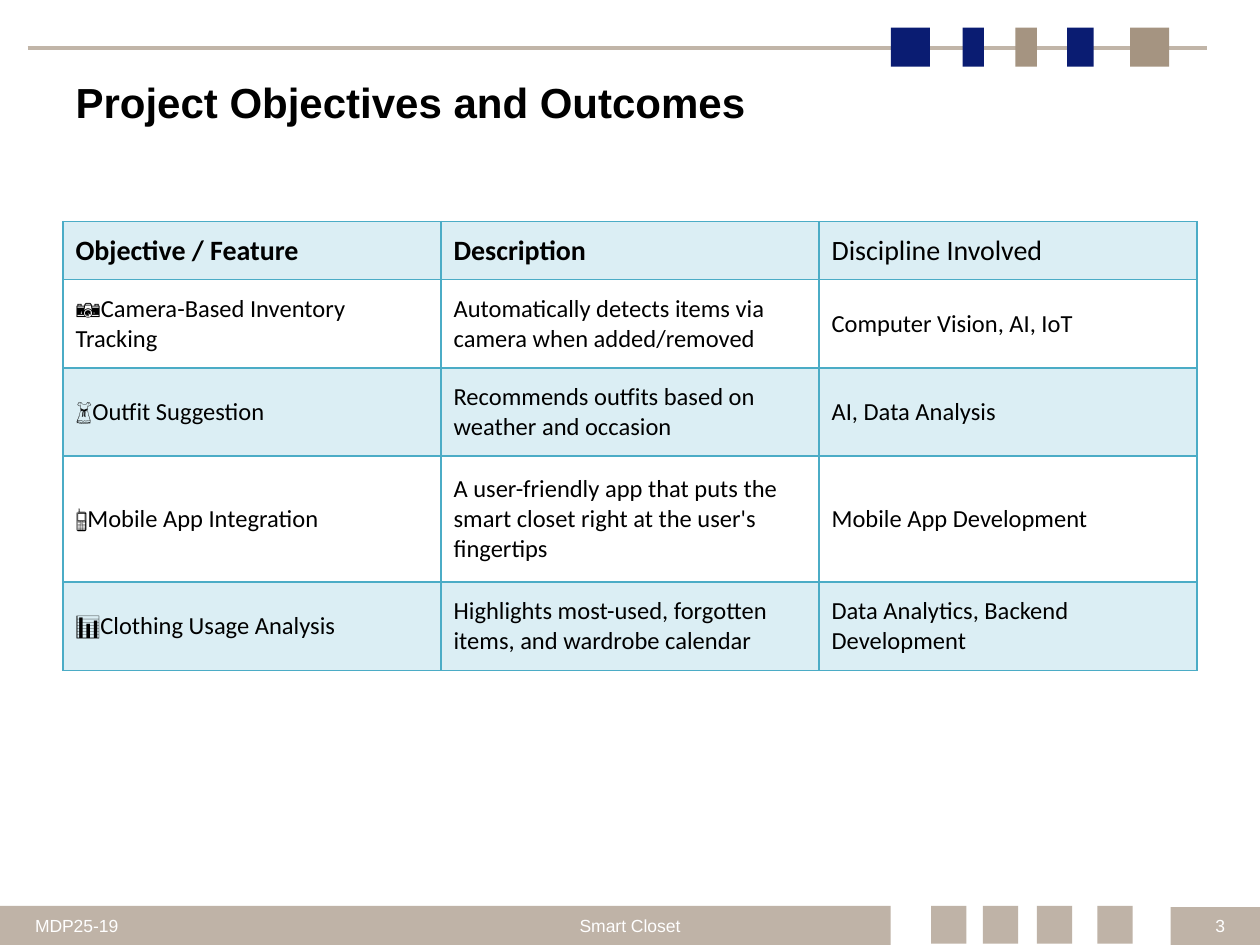
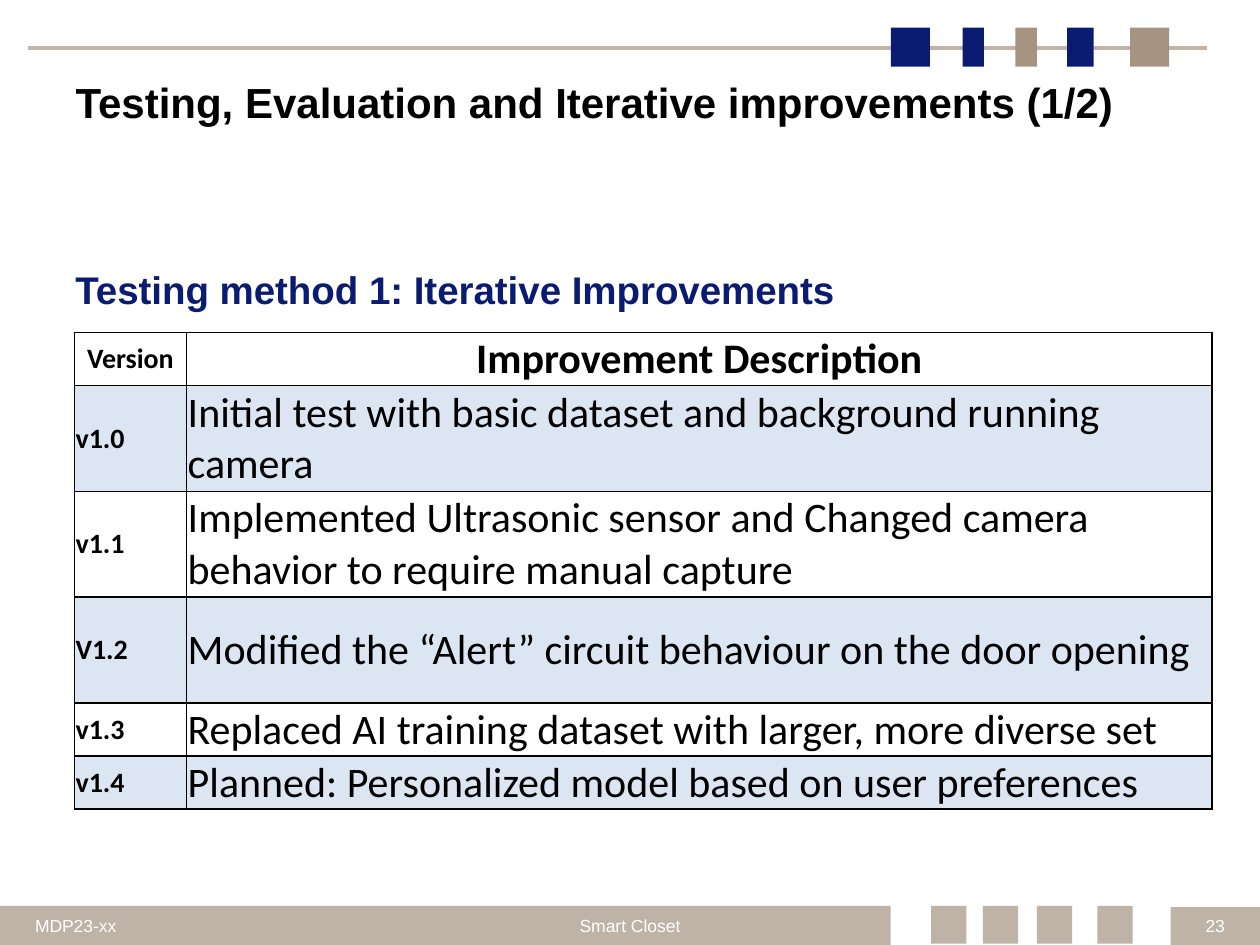
from lxml.etree import SubElement
from pptx import Presentation
from pptx.dml.color import RGBColor
from pptx.enum.shapes import MSO_CONNECTOR, MSO_SHAPE
from pptx.enum.text import MSO_ANCHOR, MSO_AUTO_SIZE, PP_ALIGN
from pptx.oxml.ns import qn
from pptx.util import Inches, Pt

BLACK = RGBColor(0x00, 0x00, 0x00)
WHITE = RGBColor(0xFF, 0xFF, 0xFF)
NAVY = RGBColor(0x0A, 0x1C, 0x72)
TAN = RGBColor(0xA5, 0x94, 0x81)
SAND = RGBColor(0xBF, 0xB3, 0xA7)
RULE = RGBColor(0xC1, 0xB5, 0xA8)
TEAL = RGBColor(0x4B, 0xAC, 0xC6)
PALE_TEAL = RGBColor(0xDB, 0xEE, 0xF4)
PALE_BLUE = RGBColor(0xDC, 0xE6, 0xF2)

# Left, top, width, height, colour of the blocks on every slide
BLOCKS = [
    (7.07, 0.22, 0.31, 0.31, NAVY),
    (7.64, 0.22, 0.17, 0.31, NAVY),
    (8.06, 0.22, 0.17, 0.31, TAN),
    (8.47, 0.22, 0.21, 0.31, NAVY),
    (8.97, 0.22, 0.31, 0.31, TAN),
    (0, 7.19, 7.07, 0.31, SAND),
    *[(left, 7.19, 0.28, 0.3, SAND) for left in (7.39, 7.8, 8.23, 8.71)],
    (9.29, 7.2, 0.71, 0.3, SAND),
]

OBJECTIVES = [
    ("Objective / Feature", "Description", "Discipline Involved"),
    ("📷Camera-Based Inventory Tracking",
     "Automatically detects items via camera when added/removed",
     "Computer Vision, AI, IoT"),
    ("👗Outfit Suggestion",
     "Recommends outfits based on weather and occasion",
     "AI, Data Analysis"),
    ("📱Mobile App Integration",
     "A user-friendly app that puts the smart closet right at the user's fingertips",
     "Mobile App Development"),
    ("📊Clothing Usage Analysis",
     "Highlights most-used, forgotten items, and wardrobe calendar",
     "Data Analytics, Backend Development"),
]

VERSIONS = [
    ("Version", "Improvement Description"),
    ("v1.0", "Initial test with basic dataset and background running camera"),
    ("v1.1", "Implemented Ultrasonic sensor and Changed camera behavior "
             "to require manual capture"),
    ("V1.2", "Modified the “Alert” circuit behaviour on the door opening"),
    ("v1.3", "Replaced AI training dataset with larger, more diverse set"),
    ("v1.4", "Planned: Personalized model based on user preferences"),
]


def add_text(slide, text, left, top, width, height, size, color, align, bold=False):
    frame = slide.shapes.add_textbox(
        Inches(left), Inches(top), Inches(width), Inches(height)).text_frame
    frame.word_wrap = True
    line = frame.paragraphs[0]
    line.text = text
    line.alignment = align
    line.font.name, line.font.size, line.font.bold = "Arial", Pt(size), bold
    line.font.color.rgb = color


def add_grid(slide, rows, left, top, widths, heights, border, tint, tinted_row):
    """Add a bordered table, tinting every second row from tinted_row."""
    grid = slide.shapes.add_table(
        len(rows), len(widths), Inches(left), Inches(top),
        Inches(sum(widths)), Inches(sum(heights))).table
    grid.first_row = grid.horz_banding = False
    for column, width in zip(grid.columns, widths):
        column.width = Inches(width)
    for r, (row, height) in enumerate(zip(rows, heights)):
        grid.rows[r].height = Inches(height)
        for c, text in enumerate(row):
            cell = grid.cell(r, c)
            cell.text = text
            cell.vertical_anchor = MSO_ANCHOR.MIDDLE
            font = cell.text_frame.paragraphs[0].font
            font.name, font.color.rgb = "Calibri", BLACK
            for side in ("a:lnL", "a:lnR", "a:lnT", "a:lnB"):
                edge = SubElement(cell._tc.get_or_add_tcPr(), qn(side), w=str(Pt(1)))
                SubElement(SubElement(edge, qn("a:solidFill")),
                           qn("a:srgbClr"), val=str(border))
            if r % 2 == tinted_row:
                cell.fill.solid()
                cell.fill.fore_color.rgb = tint
            else:
                cell.fill.background()
    return grid


deck = Presentation()
deck.slide_width, deck.slide_height = Inches(10), Inches(7.5)

# Title, header rule, blocks and footer of both slides
slides = []
for heading, project_code, number in [
    ("Project Objectives and Outcomes", "MDP25-19", "3"),
    ("Testing, Evaluation and Iterative improvements (1/2)", "MDP23-xx", "23"),
]:
    slide = deck.slides.add_slide(deck.slide_layouts[5])
    slides.append(slide)

    rule = slide.shapes.add_connector(
        MSO_CONNECTOR.STRAIGHT, Inches(0.22), Inches(0.38), Inches(9.58), Inches(0.38))
    rule.line.color.rgb = RULE
    rule.line.width = Pt(2.25)
    SubElement(rule._element.spPr, qn("a:effectLst"))

    for left, top, width, height, color in BLOCKS:
        block = slide.shapes.add_shape(
            MSO_SHAPE.RECTANGLE, Inches(left), Inches(top), Inches(width), Inches(height))
        block.shadow.inherit = False
        block.fill.solid()
        block.fill.fore_color.rgb = color
        block.line.fill.background()

    title = slide.shapes.title
    title.left, title.top = Inches(0.5), Inches(0.56)
    title.width, title.height = Inches(9), Inches(0.82)
    title.text_frame.text = heading
    title.text_frame.auto_size = MSO_AUTO_SIZE.NONE
    title.text_frame.vertical_anchor = MSO_ANCHOR.TOP
    line = title.text_frame.paragraphs[0]
    line.alignment = PP_ALIGN.LEFT
    line.font.name, line.font.size, line.font.bold = "Arial", Pt(24), True
    line.font.color.rgb = BLACK

    for text, left, width, align in [
        (project_code, 0.18, 1.17, PP_ALIGN.LEFT),
        ("Smart Closet", 1.87, 6.26, PP_ALIGN.CENTER),
        (number, 8.65, 1.17, PP_ALIGN.RIGHT),
    ]:
        add_text(slide, text, left, 7.21, width, 0.4, 10, WHITE, align)

objectives_slide, testing_slide = slides

# Objectives table
objectives = add_grid(objectives_slide, OBJECTIVES, 0.5, 1.76, [3, 3, 3],
                      [0.46, 0.7, 0.7, 1, 0.7], TEAL, PALE_TEAL, tinted_row=0)
for r in range(len(OBJECTIVES)):
    for c in range(3):
        font = objectives.cell(r, c).text_frame.paragraphs[0].font
        font.size = Pt(16 if r == 0 else 14)
        font.bold = r == 0 and c < 2

# Testing method and its version history
add_text(testing_slide, "Testing method 1: Iterative Improvements",
         0.5, 2.06, 9, 5.21, 22, NAVY, PP_ALIGN.JUSTIFY, bold=True)
versions = add_grid(testing_slide, VERSIONS, 0.59, 2.64, [0.89, 8.14],
                    [0.42, 0.84, 0.84, 0.84, 0.42, 0.42], BLACK, PALE_BLUE, tinted_row=1)
for r in range(len(VERSIONS)):
    for c in range(2):
        cell = versions.cell(r, c)
        cell.margin_left = cell.margin_right = Inches(0.01)
        cell.margin_top = cell.margin_bottom = Inches(0.01)
        line = cell.text_frame.paragraphs[0]
        line.alignment = PP_ALIGN.CENTER if r == 0 else PP_ALIGN.LEFT
        line.font.size = Pt(16 if c == 0 else 24)
        line.font.bold = r == 0 or c == 0

deck.save("out.pptx")
